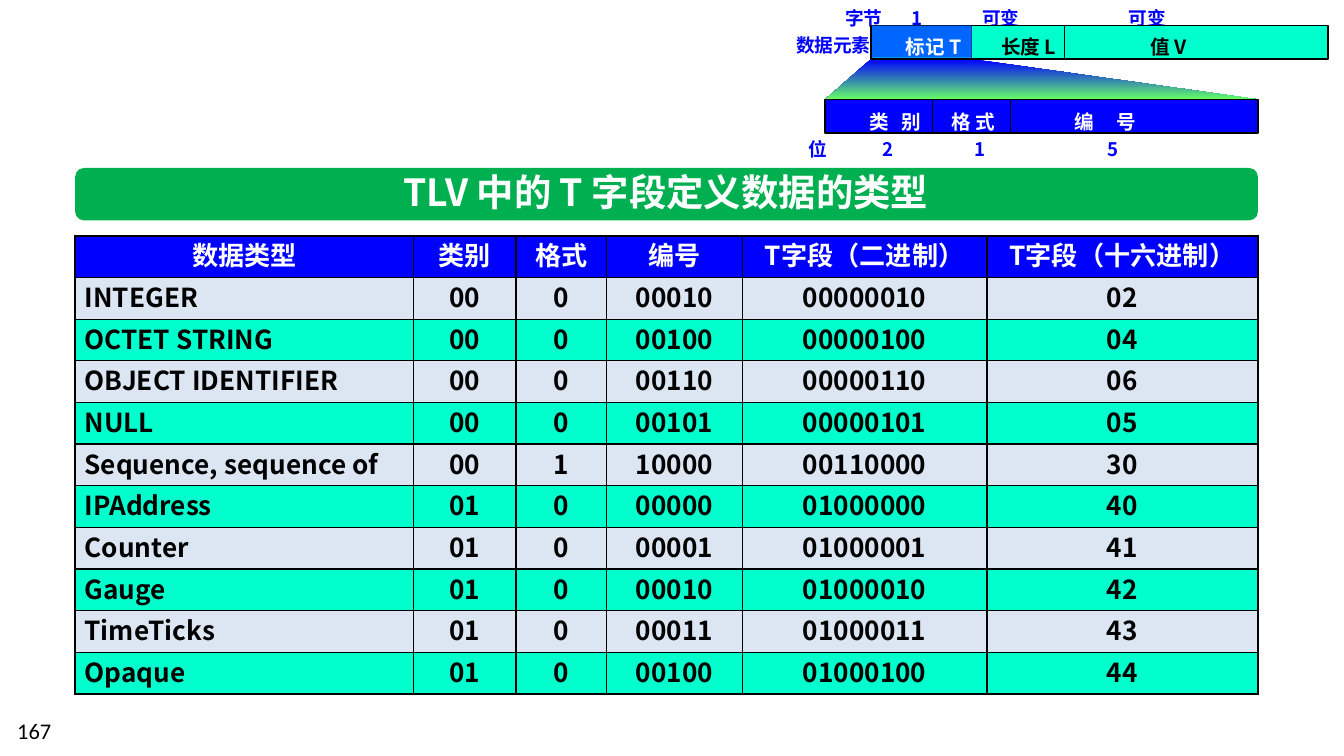
from typing import NamedTuple

from lxml import etree
from pptx import Presentation
from pptx import util as u
from pptx.dml.color import RGBColor
from pptx.enum import shapes as es, text as et
from pptx.oxml import ns

# The 16:9 slide is a grid of 1000 columns by 562.5 rows
COLS, ROWS = 1000, 562.5
UNIT = u.Inches(10) // COLS
SANS, BODY = "Noto Sans CJK SC", "Calibri"
HUE = {"blue": "0000FF", "sky": "0066FF", "mint": "00FFCC", "lime": "66FF66",
       "green": "00B050", "pale": "DCE6F2", "white": "FFFFFF", "black": "000000"}
MID = et.PP_ALIGN.CENTER


class Area(NamedTuple):
    x: float
    y: float
    w: float
    h: float


class Run(NamedTuple):
    text: str
    hue: str


class Label(NamedTuple):
    area: Area
    size: float
    runs: list
    stops: tuple = ()
    align: object = None
    font: str = SANS
    bold: bool = True


class Bar(NamedTuple):
    area: Area
    fill: str
    line: float = 0
    kind: object = es.MSO_SHAPE.RECTANGLE


def grid(n: float) -> int:
    return round(n * UNIT)


def rgb(hue: str) -> RGBColor:
    return RGBColor.from_string(HUE[hue])


def add_run(para, run: Run, size: float, font: str, bold: bool) -> None:
    r = para.add_run()
    r.text = run.text
    r.font.size, r.font.name, r.font.bold = u.Pt(size), font, bold
    r.font.color.rgb = rgb(run.hue)
    etree.SubElement(r.font._element, ns.qn("a:ea"), typeface=font)


def add_label(parts, lab: Label) -> None:
    box = parts.add_textbox(*map(grid, lab.area))
    box.text_frame.word_wrap = True
    para = box.text_frame.paragraphs[0]
    if lab.stops:
        tabs = etree.SubElement(para._p.get_or_add_pPr(), ns.qn("a:tabLst"))
        for stop in lab.stops:
            etree.SubElement(tabs, ns.qn("a:tab"), pos=str(grid(stop)), algn="l")
    para.alignment = lab.align
    for run in lab.runs:
        add_run(para, run, lab.size, lab.font, lab.bold)


def add_bar(parts, bar: Bar) -> None:
    shape = parts.add_shape(bar.kind, *map(grid, bar.area))
    shape.shadow.inherit = False
    shape.fill.solid()
    shape.fill.fore_color.rgb = rgb(bar.fill)
    if bar.line:
        shape.line.color.rgb = rgb("black")
        shape.line.width = u.Pt(bar.line)
    else:
        shape.line.fill.background()


def add_rule(parts, x: float, top: float, end: float) -> None:
    rule = parts.add_connector(es.MSO_CONNECTOR.STRAIGHT,
                               grid(x), grid(top), grid(x), grid(end))
    rule.line.color.rgb = rgb("black")
    rule.line.width = u.Pt(0.75)
    etree.SubElement(rule._element.spPr, ns.qn("a:effectLst"))


def add_fan(parts, spots: list) -> None:
    pen = parts.build_freeform(*map(grid, spots[0]))
    pen.add_line_segments([(grid(x), grid(y)) for x, y in spots[1:]])
    fan = pen.convert_to_shape()
    fan.shadow.inherit = False
    fan.line.fill.background()
    fan.fill.gradient()
    fan.fill.gradient_angle = 270
    for stop, hue, at in zip(fan.fill.gradient_stops, ("blue", "lime"), (0, 1)):
        stop.color.rgb = rgb(hue)
        stop.position = at


def edge(cell, widths: dict) -> None:
    props = cell._tc.get_or_add_tcPr()
    for i, (side, width) in enumerate(widths.items()):
        line = etree.Element(ns.qn(f"a:ln{side}"), w=str(u.Pt(width)))
        fill = etree.SubElement(line, ns.qn("a:solidFill"))
        etree.SubElement(fill, ns.qn("a:srgbClr"), val=HUE["black"])
        props.insert(i, line)


def add_grid(parts, area: Area, spans: list, data: list) -> None:
    table = parts.add_table(len(data), len(spans), *map(grid, area)).table
    table.first_row = table.horz_banding = False
    for col, span in zip(table.columns, spans):
        col.width = grid(span)
    for i, row in enumerate(data):
        table.rows[i].height = grid(area.h / len(data))
        back = "blue" if i == 0 else "pale" if i % 2 else "mint"
        for j, text in enumerate(row):
            cell = table.cell(i, j)
            cell.margin_left = cell.margin_right = grid(7)
            cell.margin_top = cell.margin_bottom = 0
            cell.vertical_anchor = et.MSO_ANCHOR.MIDDLE
            cell.fill.solid()
            cell.fill.fore_color.rgb = rgb(back)
            outer = {"L": j == 0, "R": j == len(spans) - 1,
                     "T": i == 0, "B": i == len(data) - 1}
            edge(cell, {k: 1.5 if out else 0.75 for k, out in outer.items()})
            para = cell.text_frame.paragraphs[0]
            para.line_spacing = u.Pt(18)
            para.alignment = MID if i == 0 or j else et.PP_ALIGN.LEFT
            add_run(para, Run(text, "black" if i else "white"), 14, SANS, True)


HEAD = ["数据类型", "类别", "格式", "编号", "T字段（二进制）", "T字段（十六进制）"]
# Type name, class, format, number; the T field follows from the last three
TYPES = [("INTEGER", "00", "0", "00010"), ("OCTET STRING", "00", "0", "00100"),
         ("OBJECT IDENTIFIER", "00", "0", "00110"), ("NULL", "00", "0", "00101"),
         ("Sequence, sequence of", "00", "1", "10000"),
         ("IPAddress", "01", "0", "00000"), ("Counter", "01", "0", "00001"),
         ("Gauge", "01", "0", "00010"), ("TimeTicks", "01", "0", "00011"),
         ("Opaque", "01", "0", "00100")]


def fields(kind: tuple) -> list:
    bits = "".join(kind[1:])
    return [*kind, bits, f"{int(bits, 2):02X}"]


def main() -> None:
    deck = Presentation()
    deck.slide_width, deck.slide_height = grid(COLS), grid(ROWS)
    parts = deck.slides.add_slide(deck.slide_layouts[6]).shapes

    # Title band
    add_bar(parts, Bar(Area(56, 125, 880, 39), "green",
                       kind=es.MSO_SHAPE.ROUNDED_RECTANGLE))
    add_label(parts, Label(Area(280, 121, 431, 44), 20,
                           [Run("TLV 中的 T 字段定义数据的类型", "white")], align=MID))

    # Table of data types
    add_grid(parts, Area(56, 175.5, 880, 341), [252, 76, 67.5, 101, 182, 201.5],
             [HEAD, *map(fields, TYPES)])

    # Page number
    add_label(parts, Label(Area(3, 529, 233, 30), 12, [Run("167", "black")],
                           font=BODY, bold=False))

    # TLV frame, with its T field fanned out below
    frame = parts.add_group_shape().shapes
    add_fan(frame, [(614, 74), (648, 44), (723, 44), (936, 74), (614, 74)])
    add_label(frame, Label(Area(619, 0, 306, 27), 10,
                           [Run("字节\t1\t可变\t可变", "blue")], (49, 102, 211)))
    add_bar(frame, Bar(Area(648, 19, 340, 25), "mint", 1))
    add_rule(frame, 723, 19, 44)
    add_bar(frame, Bar(Area(649, 19, 74, 24), "sky"))
    add_rule(frame, 792, 19, 44)
    add_label(frame, Label(Area(664, 21, 259, 29), 10.5,
                           [Run("标记 T\t", "white"), Run("长度 L\t值 V", "black")],
                           (71, 182)))
    add_bar(frame, Bar(Area(614, 74, 322, 25), "blue", 1))
    add_label(frame, Label(Area(637, 77, 268, 29), 10.5,
                           [Run("类\t别\t格 式\t编\t号", "white")], (24, 61, 153, 184)))
    for x in (694, 752):
        add_rule(frame, x, 74, 99)
    add_label(frame, Label(Area(592, 98, 312, 27), 10,
                           [Run("位\t2\t1\t5", "blue")], (55, 123, 222)))
    add_label(frame, Label(Area(582, 20, 76, 27), 10,
                           [Run("数据元素", "blue")], align=MID))

    deck.save("out.pptx")


if __name__ == "__main__":
    main()
